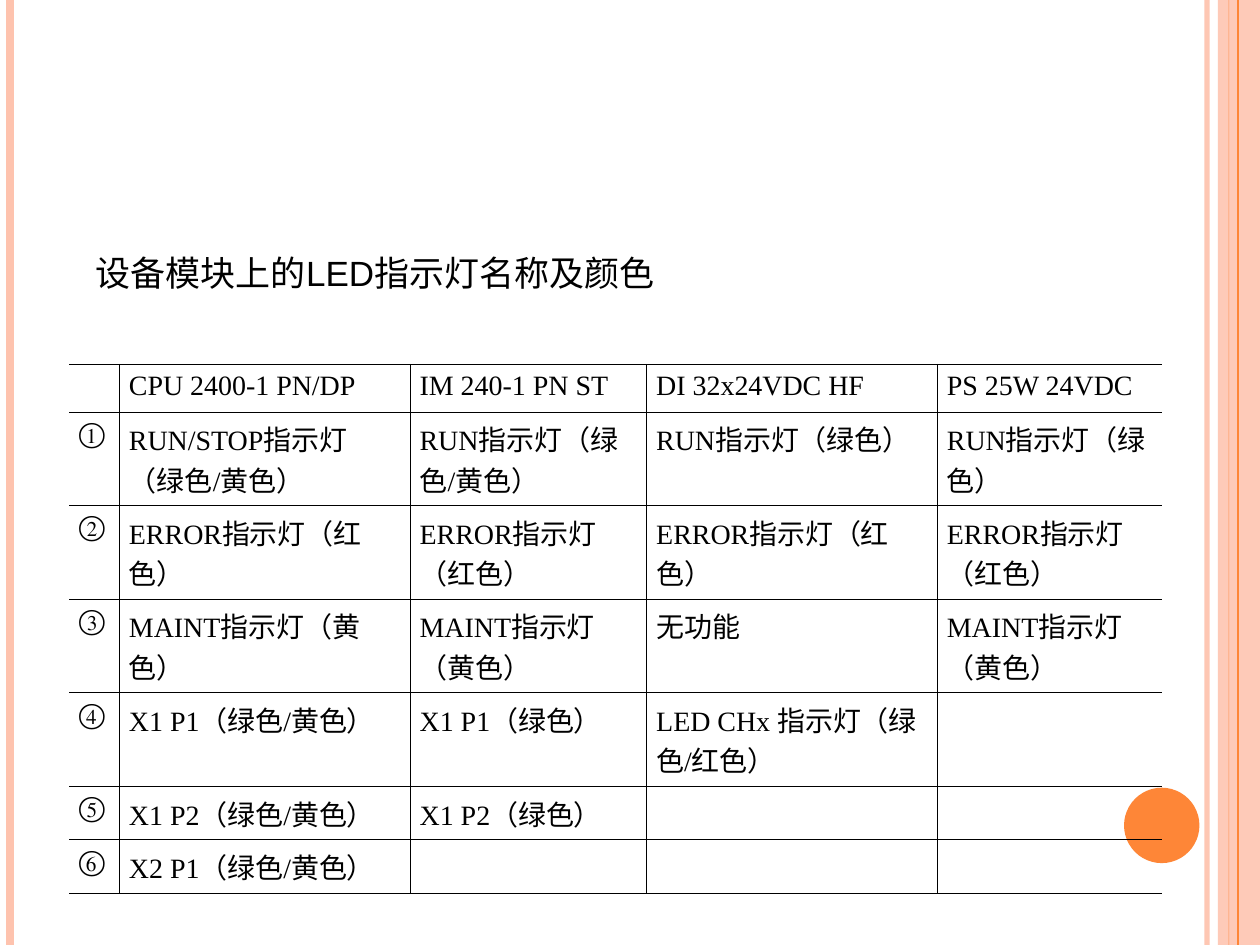
from lxml.etree import SubElement
from pptx import Presentation
from pptx.dml.color import RGBColor
from pptx.enum.shapes import MSO_CONNECTOR, MSO_SHAPE
from pptx.enum.text import MSO_AUTO_SIZE as AUTO
from pptx.oxml import parse_xml
from pptx.oxml.ns import nsdecls, qn
from pptx.util import Cm, Pt

BLACK = RGBColor(0x00, 0x00, 0x00)
PINK = RGBColor(0xFE, 0xC3, 0xAE)
ORANGE = RGBColor(0xFE, 0x86, 0x37)
TITLE_FONT = {"name": "Arial", "size": Pt(20)}
CELL_FONT = {"name": "Times New Roman", "size": Pt(16)}


def set_font(font, fmt):
    for name, value in fmt.items():
        setattr(font, name, value)
    font.color.rgb = BLACK


def set_alpha(fill_parent, percent):
    color = next(fill_parent.iter(qn("a:srgbClr")))
    SubElement(color, qn("a:alpha")).set("val", str(percent * 1000))


prs = Presentation()
prs.slide_width, prs.slide_height = Cm(25.4), Cm(19.05)
s = prs.slides.add_slide(prs.slide_layouts[6])

# Side band and circle
for shape, x, y, w, h, color, alpha in [
    (MSO_SHAPE.RECTANGLE, 24.55, 0, 0.85, 19.05, PINK, 87),
    (MSO_SHAPE.OVAL, 22.66, 15.88, 1.52, 1.52, ORANGE, 100),
]:
    sp = s.shapes.add_shape(shape, Cm(x), Cm(y), Cm(w), Cm(h))
    sp.shadow.inherit = False
    sp.fill.solid()
    sp.fill.fore_color.rgb = color
    sp.line.fill.background()
    if alpha < 100:
        set_alpha(sp.fill._xPr, alpha)

# Vertical lines at the slide edges
for x, color, width, alpha in [
    (24.33, PINK, 3, 93),
    (0.21, PINK, 4.5, 100),
    (24.96, ORANGE, 1.5, 100),
    (24.77, ORANGE, 0.75, 100),
]:
    # The faint line inside the band is mostly transparent
    alpha = 30 if width == 0.75 else alpha
    line = s.shapes.add_connector(
        MSO_CONNECTOR.STRAIGHT, Cm(x), 0, Cm(x), prs.slide_height)
    line.line.color.rgb = color
    line.line.width = Pt(width)
    SubElement(line._element.spPr, qn("a:effectLst"))
    if alpha < 100:
        set_alpha(line._element.spPr, alpha)

# LED table
rows = [
    ["", "CPU 2400-1 PN/DP", "IM 240-1 PN ST", "DI 32x24VDC HF", "PS 25W 24VDC"],
    ["①", "RUN/STOP指示灯（绿色/黄色）", "RUN指示灯（绿色/黄色）",
     "RUN指示灯（绿色）", "RUN指示灯（绿色）"],
    ["②"] + ["ERROR指示灯（红色）"] * 4,
    ["③", "MAINT指示灯（黄色）", "MAINT指示灯（黄色）", "无功能", "MAINT指示灯（黄色）"],
    ["④", "X1 P1（绿色/黄色）", "X1 P1（绿色）", "LED CHx 指示灯（绿色/红色）", ""],
    ["⑤", "X1 P2（绿色/黄色）", "X1 P2（绿色）", "", ""],
    ["⑥", "X2 P1（绿色/黄色）", "", "", ""],
]
col_widths = [1.01, 5.86, 4.77, 5.86, 4.52]
row_heights = [0.69, 1.35, 1.35, 1.35, 1.35, 0.69, 0.69]
last_col = len(col_widths) - 1

table = s.shapes.add_table(
    len(rows), len(col_widths), Cm(1.4), Cm(7.34),
    Cm(sum(col_widths)), Cm(sum(row_heights))).table
table.first_row = table.horz_banding = False
for col, width in zip(table.columns, col_widths):
    col.width = Cm(width)
for row, height in zip(table.rows, row_heights):
    row.height = Cm(height)

for i, texts in enumerate(rows):
    for j, text in enumerate(texts):
        cell = table.cell(i, j)
        cell.margin_left = cell.margin_right = Cm(0.19)
        cell.margin_top = cell.margin_bottom = Cm(0.13)
        p = cell.text_frame.paragraphs[0]
        if text:
            r = p.add_run()
            r.text = text
            set_font(r.font, CELL_FONT)
        else:
            p._p.append(parse_xml(
                f'<a:endParaRPr {nsdecls("a")} sz="1800">'
                '<a:latin typeface="Times New Roman"/></a:endParaRPr>'))
        # Thin black grid, open at the left and right ends
        tcPr = cell._tc.get_or_add_tcPr()
        for side in "LRTB":
            is_open = (side, j) in [("L", 0), ("R", last_col)]
            fill = ("<a:noFill/>" if is_open else
                    f'<a:solidFill><a:srgbClr val="{BLACK}"/></a:solidFill>')
            tcPr.append(parse_xml(
                f'<a:ln{side} {nsdecls("a")} w="{Pt(0.45)}">{fill}</a:ln{side}>'))
        cell.fill.background()

# Heading
tf = s.shapes.add_textbox(Cm(1.68), Cm(4.95), Cm(12.12), Cm(1.12)).text_frame
tf.word_wrap = False
tf.auto_size = AUTO.SHAPE_TO_FIT_TEXT
r = tf.paragraphs[0].add_run()
r.text = "设备模块上的LED指示灯名称及颜色"
set_font(r.font, TITLE_FONT)

prs.save("out.pptx")
